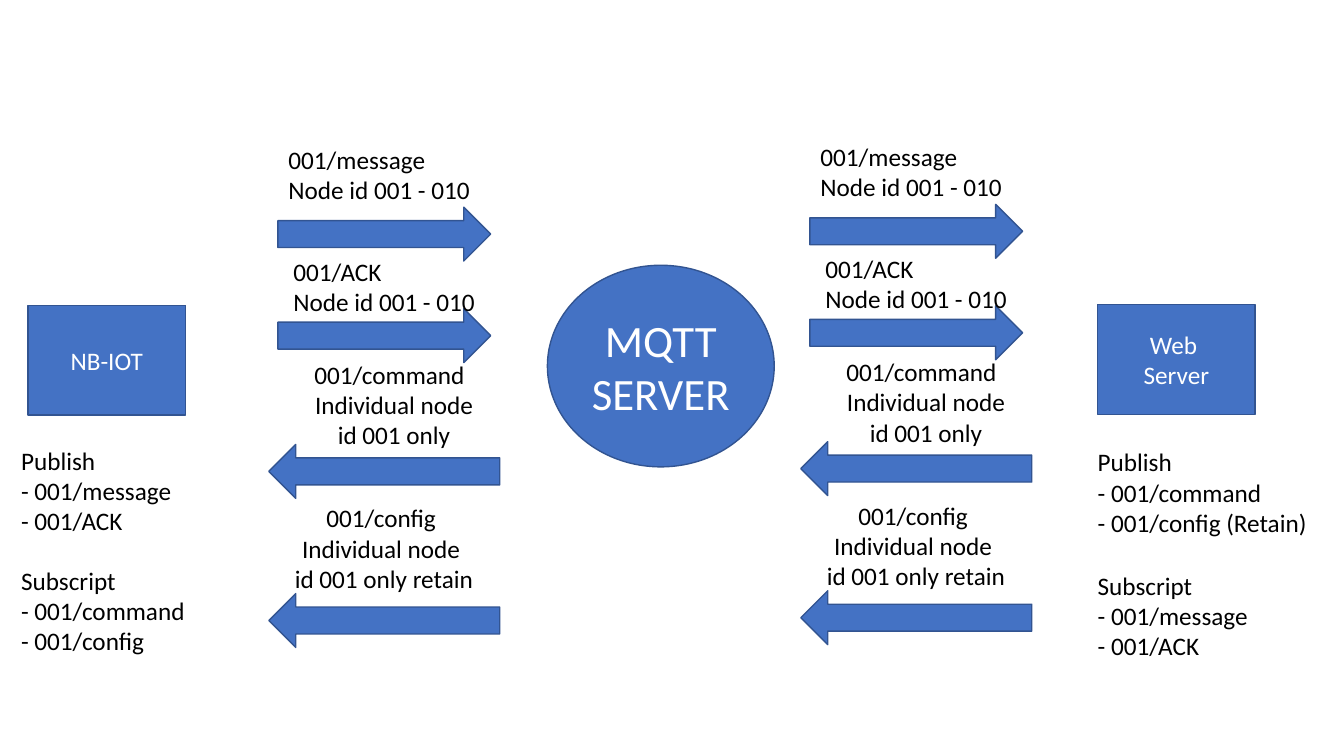
"""Build the slide of MQTT topics between an NB-IOT node and a web server."""
from pptx import Presentation
from pptx.dml.color import RGBColor
from pptx.enum import shapes, text
from pptx.util import Pt

HUES = {"fill": "4472C4", "edge": "325491", "light": "FFFFFF", "dark": "000000"}
KIND = shapes.MSO_SHAPE
LEFT, MID = text.PP_ALIGN.LEFT, text.PP_ALIGN.CENTER


def write(shape, lines, size, hue, align):
    frame = shape.text_frame
    frame.word_wrap = True
    frame.text = "\n".join(lines)
    for para in frame.paragraphs:
        para.alignment = align
        para.font.size = Pt(size)
        para.font.name = "Calibri"
        para.font.color.rgb = RGBColor.from_string(HUES[hue])
    return frame


def draw(kind, x, y, w, h, lines=(), size=18):
    shape = slide.shapes.add_shape(kind, Pt(x), Pt(y), Pt(w), Pt(h))
    shape.shadow.inherit = False
    shape.fill.solid()
    shape.fill.fore_color.rgb = RGBColor.from_string(HUES["fill"])
    shape.line.color.rgb = RGBColor.from_string(HUES["edge"])
    shape.line.width = Pt(1)
    if lines:
        frame = write(shape, lines, size, "light", MID)
        frame.vertical_anchor = text.MSO_ANCHOR.MIDDLE


deck = Presentation()
deck.slide_width, deck.slide_height = Pt(960), Pt(540)
slide = deck.slides.add_slide(deck.slide_layouts[6])

draw(KIND.OVAL, 391, 189.5, 162, 144, ["MQTT", "SERVER"], 32)
draw(KIND.FLOWCHART_PROCESS, 20, 218, 112.5, 78.5, ["NB-IOT"])
draw(KIND.FLOWCHART_PROCESS, 784, 217.5, 112.5, 78.5, ["Web ", "Server"])

arrows = [
    (KIND.RIGHT_ARROW, 198.5, 148, 152),
    (KIND.RIGHT_ARROW, 198.5, 220.5, 152),
    (KIND.LEFT_ARROW, 192, 317.5, 165),
    (KIND.LEFT_ARROW, 192, 424, 165),
]
labels = [
    (199, 99.5, 160, 51, LEFT, ["001/message", "Node id 001 - 010"]),
    (202.5, 179.5, 157, 51, LEFT, ["001/ACK", "Node id 001 - 010"]),
    (217.5, 253, 128, 73, MID, ["001/command", "Individual node id 001 only"]),
    (196, 355.5, 152.5, 73, MID,
     ["001/config", "Individual node", " id 001 only retain"]),
]
notes = [
    (8, 314.5, 128, 74, LEFT, ["Publish", "- 001/message", "- 001/ACK"]),
    (8, 400, 151, 73, LEFT, ["Subscript", "- 001/command", "- 001/config"]),
    (777, 315.5, 176, 73, LEFT,
     ["Publish", "- 001/command", "- 001/config (Retain)"]),
    (777, 403.5, 128, 74, LEFT, ["Subscript", "- 001/message", "- 001/ACK"]),
]

boxes = list(notes)
for dx, dy in [(0, 0), (380, -2)]:
    for kind, x, y, w in arrows:
        draw(kind, x + dx, y + dy, w, 38.5)
    boxes += [(x + dx, y + dy, *rest) for x, y, *rest in labels]

for x, y, w, h, align, lines in boxes:
    box = slide.shapes.add_textbox(Pt(x), Pt(y), Pt(w), Pt(h))
    frame = write(box, lines, 18, "dark", align)
    if lines[0] == "001/command":
        frame.paragraphs[0].alignment = LEFT

deck.save("out.pptx")
